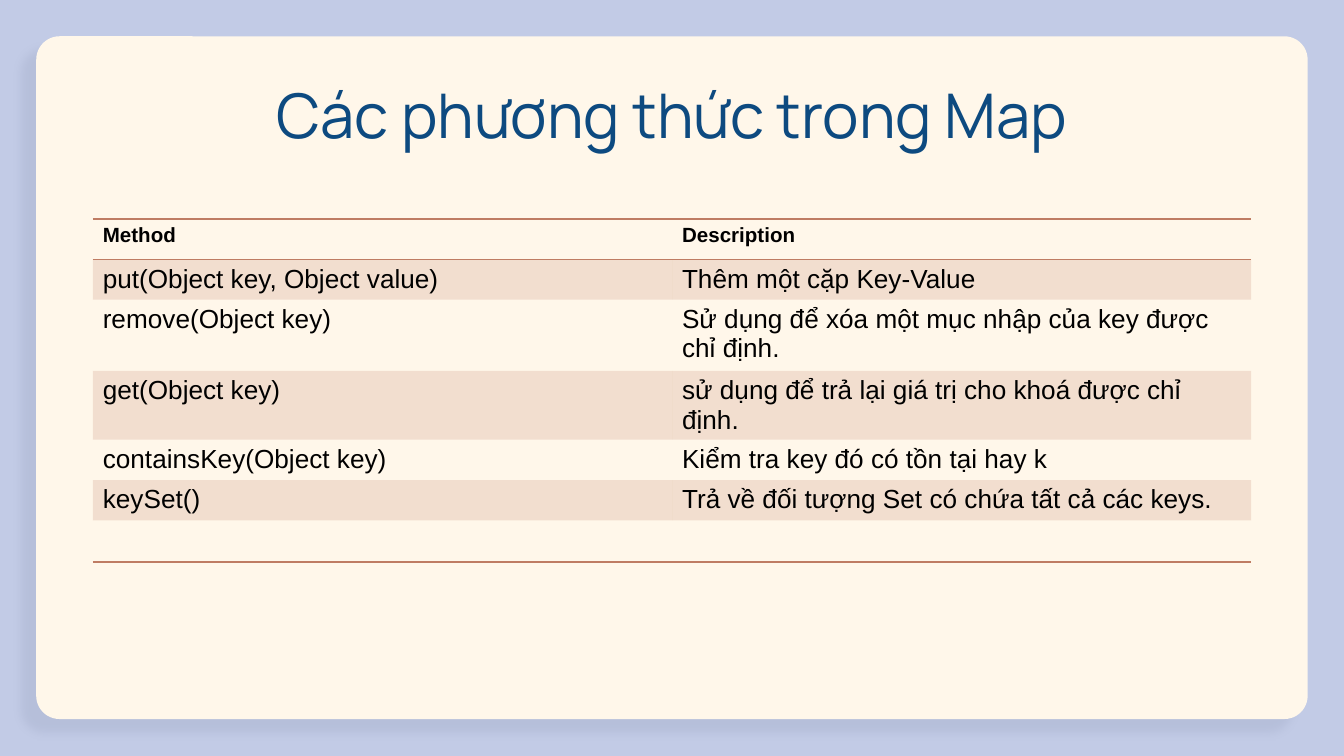
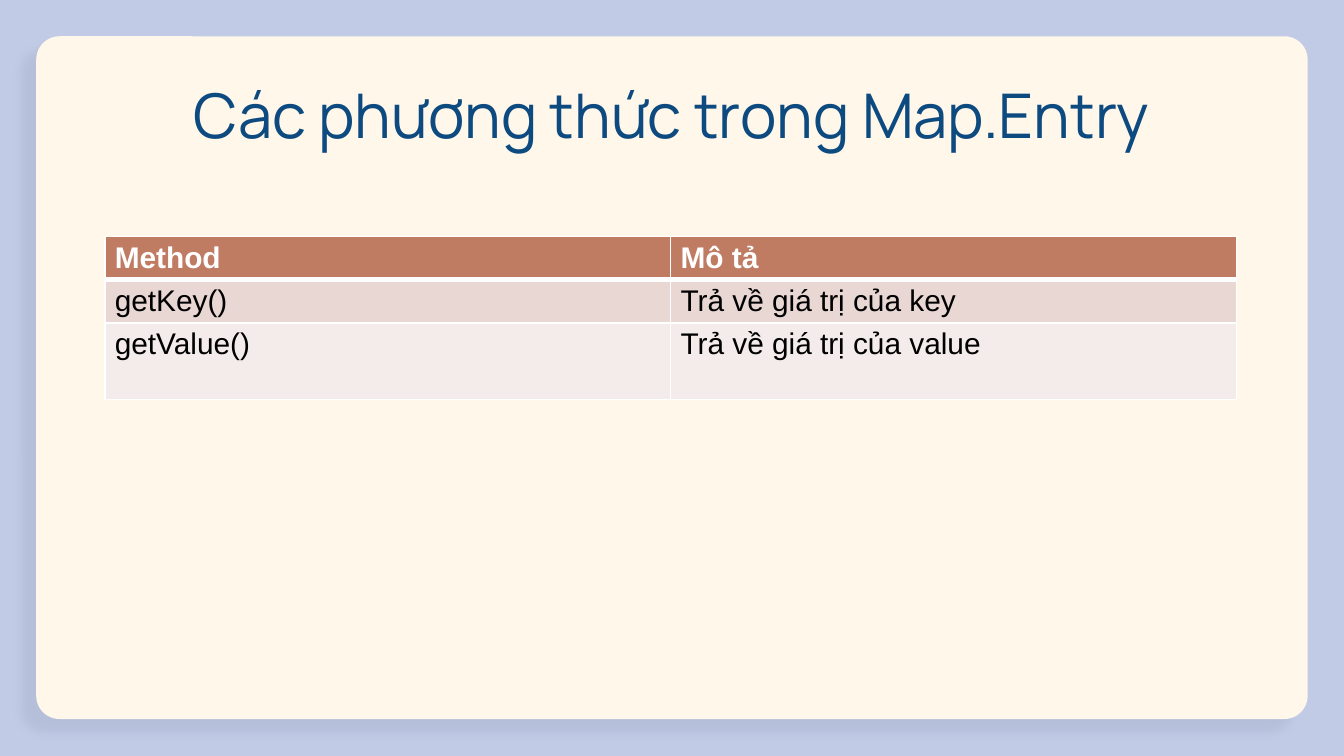
from dataclasses import dataclass

from lxml import etree
from pptx import Presentation
from pptx.dml.color import RGBColor as RGB
from pptx.enum.shapes import MSO_SHAPE as SHAPE
from pptx.enum.text import MSO_ANCHOR as ANCHOR, MSO_AUTO_SIZE as AUTO_SIZE, PP_ALIGN as ALIGN
from pptx.oxml.ns import qn
from pptx.util import Inches, Pt


@dataclass(frozen=True)
class Theme:
    background: str = "C2CBE6"
    panel: str = "FFF7EA"
    shadow: str = "515B7A"
    title: str = "0D4A80"
    accent: str = "BF7C63"
    band_dark: str = "E8D7D3"
    band_light: str = "F4ECEA"
    text: str = "000000"
    white: str = "FFFFFF"
    title_font: str = "Manrope"
    body_font: str = "Arial"
    title_size: int = 33
    small_header_size: int = 11
    map_size: int = 14
    entry_size: int = 16


THEME = Theme()
NO_TABLE_STYLE = "{2D5ABB26-0587-4C30-8999-92F81FD0307C}"
TITLE_ONLY = 5

MAP_METHODS = [
    ("Method", "Description"),
    ("put(Object key, Object value)", "Thêm một cặp Key-Value"),
    ("remove(Object key)", "Sử dụng để xóa một mục nhập của key được chỉ định."),
    ("get(Object key)", "sử dụng để trả lại giá trị cho khoá được chỉ định."),
    ("containsKey(Object key)", "Kiểm tra key đó có tồn tại hay k"),
    ("keySet()", "Trả về đối tượng Set có chứa tất cả các keys."),
    ("", ""),
]
ENTRY_METHODS = [
    ("Method", "Mô tả"),
    ("getKey()", "Trả về giá trị của key"),
    ("getValue()", "Trả về giá trị của value"),
]


def add_color(parent, color, alpha=None):
    clr = etree.SubElement(parent, qn("a:srgbClr"), val=color)
    if alpha is not None:
        etree.SubElement(clr, qn("a:alpha"), val=str(alpha * 1000))


def add_panel(prs, slide):
    """Put the rounded panel on the master, behind every slide."""
    sp = slide.shapes.add_shape(SHAPE.ROUNDED_RECTANGLE, Inches(0.27), Inches(0.27),
                                Inches(9.46), Inches(5.08))
    sp.adjustments[0] = 0.034
    sp.fill.solid()
    sp.fill.fore_color.rgb = RGB.from_string(THEME.panel)
    sp.line.fill.background()
    sp.shadow.inherit = False
    effects = sp._element.spPr.find(qn("a:effectLst"))
    shadow = etree.SubElement(effects, qn("a:outerShdw"), blurRad=str(Pt(4.5)),
                              dist=str(Pt(10.5)), dir=str(137 * 60000), rotWithShape="0")
    add_color(shadow, THEME.shadow, 10)
    prs.slide_master.shapes._spTree.insert(2, sp._element)


def style_run(r, font, size, color, bold=False):
    r.font.name = font
    r.font.size = Pt(size)
    r.font.bold = bold
    r.font.color.rgb = RGB.from_string(color)


def set_title(slide, text):
    title = slide.shapes.title
    title.left, title.top = Inches(0.78), Inches(0.49)
    title.width, title.height = Inches(8.44), Inches(0.63)
    tf = title.text_frame
    tf.margin_left = tf.margin_top = tf.margin_right = tf.margin_bottom = 0
    tf.vertical_anchor = ANCHOR.BOTTOM
    tf.auto_size = AUTO_SIZE.NONE
    p = tf.paragraphs[0]
    p.alignment = ALIGN.CENTER
    r = p.add_run()
    r.text = text
    style_run(r, THEME.title_font, THEME.title_size, THEME.title)


def set_borders(cell, color, **widths):
    """Draw the sides named L, R, T and B at the given point widths."""
    tc_pr = cell._tc.get_or_add_tcPr()
    for side in "LRTB":
        if side in widths:
            ln = etree.SubElement(tc_pr, qn(f"a:ln{side}"), w=str(Pt(widths[side])))
            add_color(etree.SubElement(ln, qn("a:solidFill")), color)


def set_fill(cell, color, alpha=None):
    if color is None:
        cell.fill.background()
        return
    cell.fill.solid()
    cell.fill.fore_color.rgb = RGB.from_string(color)
    if alpha is not None:
        clr = cell._tc.tcPr.find(qn("a:solidFill")).find(qn("a:srgbClr"))
        etree.SubElement(clr, qn("a:alpha"), val=str(alpha * 1000))


def set_cell_text(cell, text, size, color, bold):
    cell.margin_left = cell.margin_right = Pt(5.4)
    cell.margin_top = cell.margin_bottom = Pt(2.7)
    p = cell.text_frame.paragraphs[0]
    if text:
        r = p.add_run()
        r.text = text
        style_run(r, THEME.body_font, size, color, bold)
    else:
        etree.SubElement(p._p, qn("a:endParaRPr"), sz=str(size * 100))


def add_method_table(slide, rows, left, top, col_width, row_heights, style_cell):
    """Add a two-column table; style_cell(cell, row) returns size, colour and bold."""
    frame = slide.shapes.add_table(len(rows), 2, Inches(left), Inches(top),
                                   Inches(2 * col_width), Inches(sum(row_heights)))
    table = frame.table
    table.first_row = table.horz_banding = False
    table._tbl.tblPr.find(qn("a:tableStyleId")).text = NO_TABLE_STYLE
    for col in table.columns:
        col.width = Inches(col_width)
    for i, (texts, height) in enumerate(zip(rows, row_heights)):
        table.rows[i].height = Inches(height)
        for cell, text in zip(table.rows[i].cells, texts):
            set_cell_text(cell, text, *style_cell(cell, i))


def style_map_cell(cell, row):
    """Open table: ruled header and foot, tinted odd rows."""
    if row == 0:
        set_borders(cell, THEME.accent, T=1, B=1)
    elif row == len(MAP_METHODS) - 1:
        set_borders(cell, THEME.accent, B=1)
    if row % 2:
        set_fill(cell, THEME.accent, 20)
    else:
        set_fill(cell, None)
    return THEME.map_size if row else THEME.small_header_size, THEME.text, row == 0


def style_entry_cell(cell, row):
    """Filled table: white grid with a heavy rule under the header."""
    set_borders(cell, THEME.white, L=1, R=1, T=3 if row == 1 else 1, B=1 if row else 3)
    set_fill(cell, (THEME.accent, THEME.band_dark, THEME.band_light)[row])
    return THEME.entry_size, THEME.text if row else THEME.white, row == 0


def add_titled_slide(prs, title):
    slide = prs.slides.add_slide(prs.slide_layouts[TITLE_ONLY])
    set_title(slide, title)
    return slide


def main():
    prs = Presentation()
    prs.slide_width = Inches(10)
    prs.slide_height = prs.slide_width * 9 // 16
    fill = prs.slide_master.background.fill
    fill.solid()
    fill.fore_color.rgb = RGB.from_string(THEME.background)

    slide = add_titled_slide(prs, "Các phương thức trong Map")
    add_panel(prs, slide)
    add_method_table(slide, MAP_METHODS, 0.69, 1.63, 4.31,
                     [0.3, 0.3, 0.53, 0.3, 0.3, 0.3, 0.3], style_map_cell)

    slide = add_titled_slide(prs, "Các phương thức trong Map.Entry")
    add_method_table(slide, ENTRY_METHODS, 0.78, 1.76, 4.21,
                     [0.3, 0.3, 0.57], style_entry_cell)
    prs.save("out.pptx")


if __name__ == "__main__":
    main()
